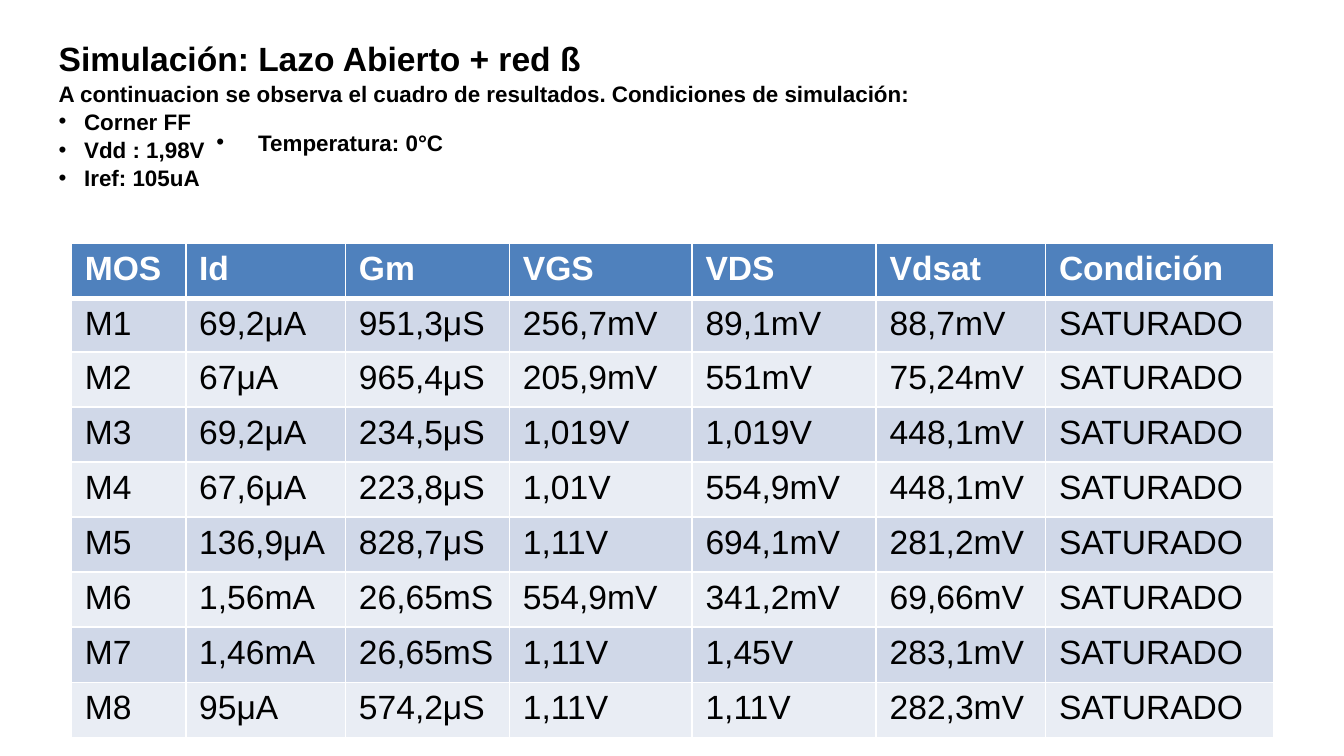
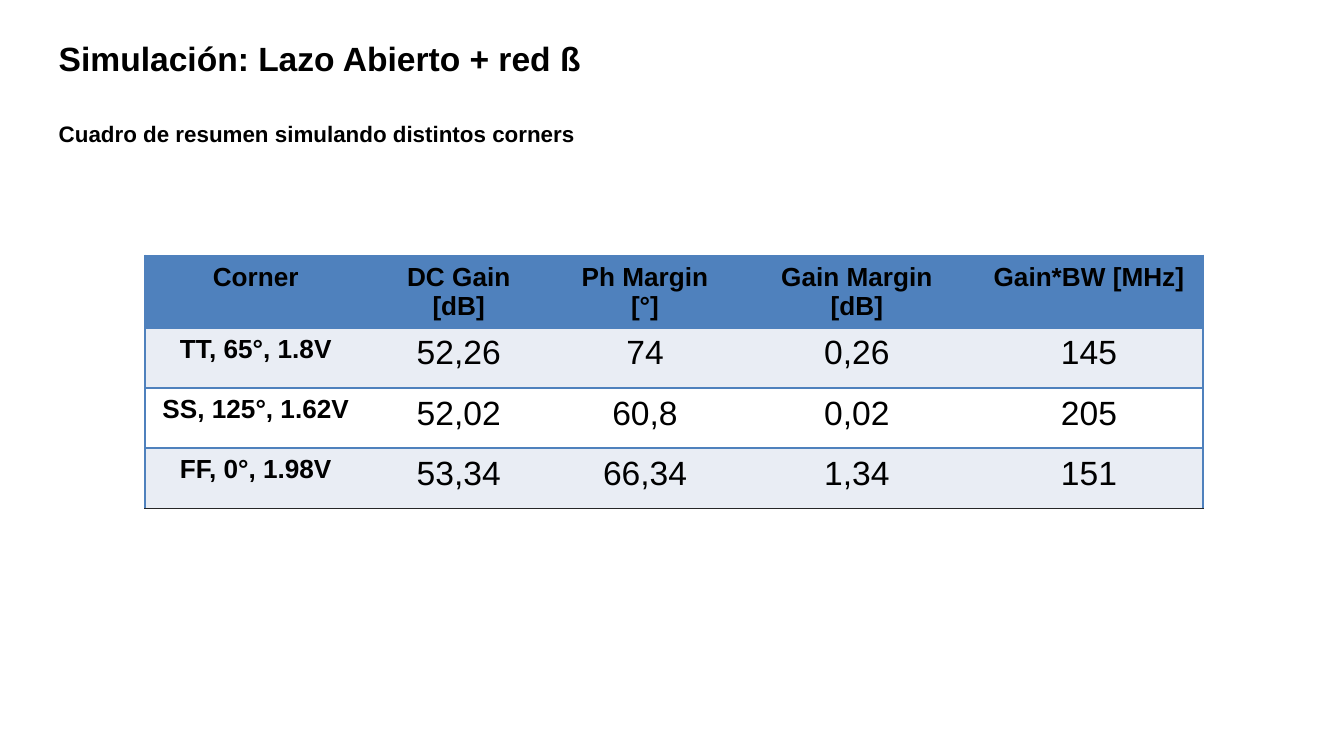
from lxml import etree
from pptx import Presentation
from pptx.dml.color import RGBColor as RGB
from pptx.enum.text import MSO_ANCHOR as Anchor, MSO_AUTO_SIZE as AutoSize, PP_ALIGN as Align
from pptx.oxml.ns import qn
from pptx.util import Cm, Pt

COLORS = {"black": "000000", "white": "FFFFFF", "blue": "4F81BD",
          "band": "D0D8E8", "light": "E9EDF4", "dark": "262626"}
FONT = "Arial"
TITLE = "Simulación: Lazo Abierto + red ß"


def write(tf, text, size=12, bold=True, color="black", align=Align.LEFT,
          spacing=1.0, before=0, bullet=None):
    """Fill the first empty paragraph, or add one; bullet is the indent in cm."""
    p = tf.paragraphs[-1]
    if p.runs:
        p = tf.add_paragraph()
    p.alignment, p.line_spacing, p.space_before = align, spacing, Pt(before)
    r = p.add_run()
    r.text = text
    r.font.name, r.font.size, r.font.bold = FONT, Pt(size), bold
    r.font.color.rgb = RGB.from_string(COLORS[color])
    if bullet:
        pPr = p._p.get_or_add_pPr()
        pPr.set("marL", str(Cm(bullet)))
        pPr.set("indent", str(-Cm(bullet)))
        etree.SubElement(pPr, qn("a:buFont")).set("typeface", FONT)
        etree.SubElement(pPr, qn("a:buChar")).set("char", "•")


def border(cell, side, color, width=1):
    """Draw one cell edge, or clear it when color is None."""
    ln = etree.SubElement(cell._tc.get_or_add_tcPr(), qn("a:ln" + side))
    ln.set("w", str(Pt(width)))
    if color is None:
        etree.SubElement(ln, qn("a:noFill"))
    else:
        fill = etree.SubElement(ln, qn("a:solidFill"))
        etree.SubElement(fill, qn("a:srgbClr")).set("val", COLORS[color])


prs = Presentation()
prs.slide_width, prs.slide_height = Cm(25.4), Cm(14.29)

# Slides with their shared heading
headings = [
    (4.09, "A continuacion se observa el cuadro de resultados. Condiciones de simulación:", 0),
    (2.06, "Cuadro de resumen simulando distintos corners", 21.7),
]
slides = []
for height, subtitle, gap in headings:
    s = prs.slides.add_slide(prs.slide_layouts[5])
    sp = s.shapes.title
    sp.left, sp.top, sp.width, sp.height = Cm(0.86), Cm(0.43), Cm(23.67), Cm(height)
    tf = sp.text_frame
    tf.word_wrap, tf.auto_size, tf.vertical_anchor = True, AutoSize.NONE, Anchor.TOP
    tf.margin_left = tf.margin_right = tf.margin_top = tf.margin_bottom = Cm(0.25)
    write(tf, TITLE, size=18, spacing=1.05)
    write(tf, subtitle, spacing=1.05, before=gap)
    slides.append(s)
results, summary = slides

# Simulation conditions
for condition in ("Corner FF", "Vdd : 1,98V", "Iref: 105uA"):
    write(results.shapes.title.text_frame, condition, spacing=1.05, bullet=0.48)
tf = results.shapes.add_textbox(Cm(3.84), Cm(2.31), Cm(5.54), Cm(0.76)).text_frame
tf.word_wrap, tf.auto_size = True, AutoSize.SHAPE_TO_FIT_TEXT
write(tf, "Temperatura: 0°C", bullet=0.79)

# Transistor results
mos_rows = [
    ["MOS", "Id", "Gm", "VGS", "VDS", "Vdsat", "Condición"],
    ["M1", "69,2μA", "951,3μS", "256,7mV", "89,1mV", "88,7mV"],
    ["M2", "67μA", "965,4μS", "205,9mV", "551mV", "75,24mV"],
    ["M3", "69,2μA", "234,5μS", "1,019V", "1,019V", "448,1mV"],
    ["M4", "67,6μA", "223,8μS", "1,01V", "554,9mV", "448,1mV"],
    ["M5", "136,9μA", "828,7μS", "1,11V", "694,1mV", "281,2mV"],
    ["M6", "1,56mA", "26,65mS", "554,9mV", "341,2mV", "69,66mV"],
    ["M7", "1,46mA", "26,65mS", "1,11V", "1,45V", "283,1mV"],
    ["M8", "95μA", "574,2μS", "1,11V", "1,11V", "282,3mV"],
]
for row in mos_rows[1:]:
    row.append("SATURADO")

# Summary by corner
corner_rows = [
    ["Corner", "DC Gain [dB]", "Ph Margin [°]", "Gain Margin [dB]", "Gain*BW [MHz]"],
    ["TT, 65°, 1.8V", "52,26", "74", "0,26", "145"],
    ["SS, 125°, 1.62V", "52,02", "60,8", "0,02", "205"],
    ["FF, 0°, 1.98V", "53,34", "66,34", "1,34", "151"],
]

# Tables: slide, rows, left, top, column widths, row heights, band fills
tables = [
    (results, mos_rows, 1.35, 4.6, [2.16, 3.02, 3.1, 3.45, 3.48, 3.2, 4.32],
     [1.04, 1] + [1.04] * 7, ["band", "light"]),
    (summary, corner_rows, 2.74, 4.83, [4.19, 3.48, 3.56, 4.45, 4.32],
     [1.19] + [1.14] * 3, ["light", "white"]),
]
for s, rows, left, top, widths, heights, bands in tables:
    table = s.shapes.add_table(len(rows), len(widths), Cm(left), Cm(top),
                               Cm(sum(widths)), Cm(sum(heights))).table
    table.horz_banding = False
    for column, width in zip(table.columns, widths):
        column.width = Cm(width)
    for row, height in zip(table.rows, heights):
        row.height = Cm(height)
    for i, row in enumerate(rows):
        for j, text in enumerate(row):
            cell = table.cell(i, j)
            header = i == 0
            if s is results:
                for side in "LRT":
                    border(cell, side, "white", 3 if side == "T" and i == 1 else 1)
                border(cell, "B", "white", 3 if header else 1)
                style = {"size": 18, "bold": header, "color": "white" if header else "black"}
            else:
                border(cell, "L", "blue" if j == 0 else None)
                border(cell, "R", "blue" if j == len(row) - 1 else None)
                border(cell, "T", "blue")
                border(cell, "B", "dark" if i == len(rows) - 1 else "blue")
                label = header or j == 0
                style = {"size": 14 if label else 18, "bold": label, "align": Align.CENTER}
            cell.fill.solid()
            cell.fill.fore_color.rgb = RGB.from_string(
                COLORS["blue" if header else bands[(i - 1) % 2]])
            write(cell.text_frame, text, **style)

prs.save("out.pptx")
